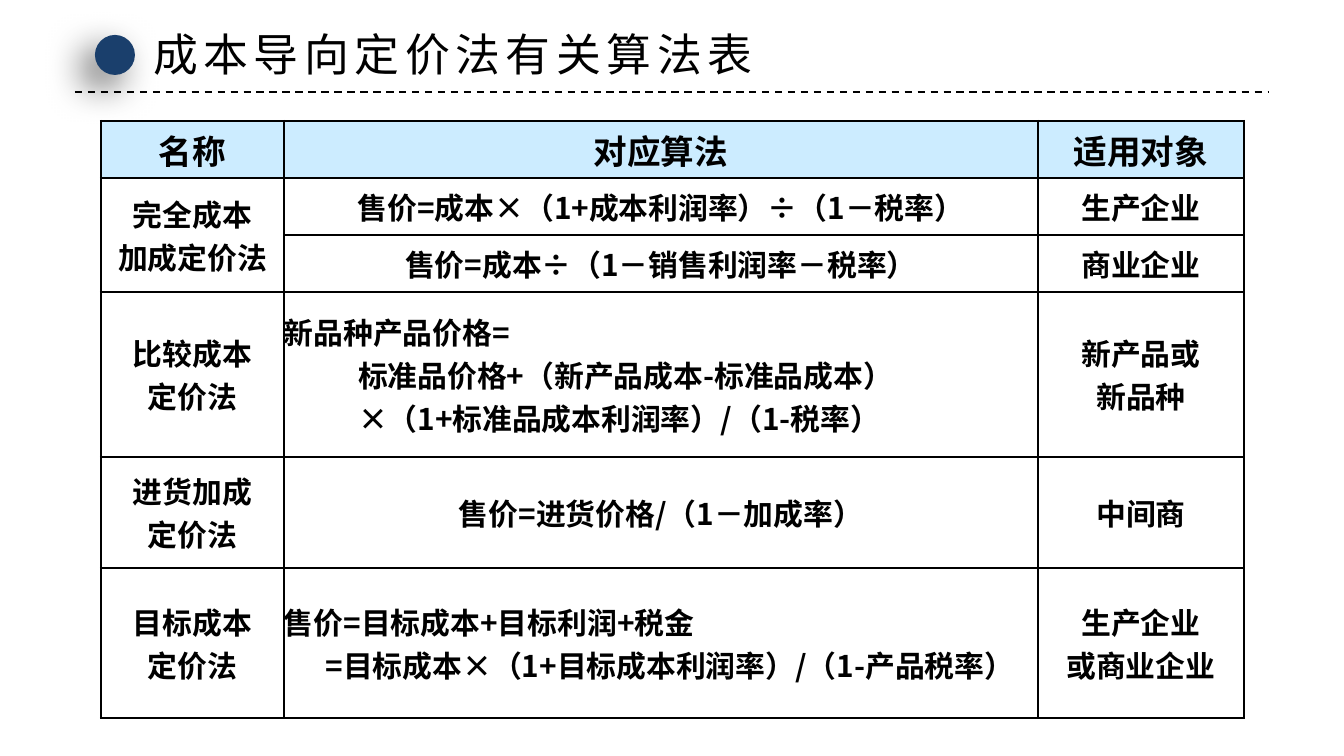
from lxml.etree import SubElement
from pptx import Presentation
from pptx.dml.color import RGBColor
from pptx.enum.dml import MSO_LINE
from pptx.enum.shapes import MSO_CONNECTOR, MSO_SHAPE
from pptx.enum.text import MSO_ANCHOR, PP_ALIGN
from pptx.oxml.ns import qn
from pptx.util import Pt

PX = 914400 / 134.4
COLORS = {"black": "000000", "navy": "1A3F6C", "header": "CCECFF"}
FONT = "Noto Sans CJK SC"
HANG = 51


def px(value):
    return round(value * PX)


def style_span(span, size, bold):
    span.font.size = Pt(size)
    span.font.bold = bold
    span.font.color.rgb = RGBColor.from_string(COLORS["black"])
    span.font.name = FONT
    SubElement(span._r.get_or_add_rPr(), qn("a:ea"), typeface=FONT)


deck = Presentation()
deck.slide_width, deck.slide_height = px(1344), px(756)
slide = deck.slides.add_slide(deck.slide_layouts[6])

rule = slide.shapes.add_connector(MSO_CONNECTOR.STRAIGHT, px(75), px(92), px(1269), px(92))
rule.line.color.rgb = RGBColor.from_string(COLORS["black"])
rule.line.width = Pt(1)
rule.line.dash_style = MSO_LINE.DASH
SubElement(rule._element.spPr, qn("a:effectLst"))

dot = slide.shapes.add_shape(MSO_SHAPE.OVAL, px(95), px(35), px(40), px(40))
dot.fill.solid()
dot.fill.fore_color.rgb = RGBColor.from_string(COLORS["navy"])
dot.line.fill.background()
dot.shadow.inherit = False
effects = dot._element.spPr.find(qn("a:effectLst"))
shadow = SubElement(effects, qn("a:outerShdw"), blurRad=str(Pt(20)), dist=str(Pt(10)),
                    dir=str(135 * 60000), algn="ctr", rotWithShape="0")
shade = SubElement(shadow, qn("a:srgbClr"), val=COLORS["black"])
SubElement(shade, qn("a:alpha"), val="60000")

title = slide.shapes.add_textbox(px(140), px(20), px(636), px(67))
title.text_frame.word_wrap = False
title.text_frame.vertical_anchor = MSO_ANCHOR.MIDDLE
title.text_frame.text = "成本导向定价法有关算法表"
title_span = title.text_frame.paragraphs[0].runs[0]
style_span(title_span, 24, False)
title_span._r.get_or_add_rPr().set("spc", "300")

widths = [183, 754, 206]
heights = [57, 57, 57, 165, 111, 150]
rows = [
    ["名称", "对应算法", "适用对象"],
    ["完全成本\n加成定价法", "售价=成本×（1+成本利润率）÷（1－税率）", "生产企业"],
    ["", "售价=成本÷（1－销售利润率－税率）", "商业企业"],
    ["比较成本\n定价法",
     "新品种产品价格=\n标准品价格+（新产品成本-标准品成本）\n×（1+标准品成本利润率）/（1-税率）",
     "新产品或\n新品种"],
    ["进货加成\n定价法", "售价=进货价格/（1－加成率）", "中间商"],
    ["目标成本\n定价法",
     "售价=目标成本+目标利润+税金\n=目标成本×（1+目标成本利润率）/（1-产品税率）",
     "生产企业\n或商业企业"],
]
layouts = {
    (3, 1, 0): (PP_ALIGN.LEFT, HANG, -HANG),
    (3, 1, 1): (PP_ALIGN.LEFT, 74, 0),
    (3, 1, 2): (PP_ALIGN.LEFT, 74, 0),
    (5, 1, 0): (PP_ALIGN.LEFT, HANG, -HANG),
    (5, 1, 1): (PP_ALIGN.CENTER, HANG, -33),
}
last_row, last_column = len(rows) - 1, len(widths) - 1

frame = slide.shapes.add_table(len(rows), len(widths), px(101), px(121),
                               px(sum(widths)), px(sum(heights)))
table = frame.table
table.first_row = False
table.horz_banding = False
for column, width in zip(table.columns, widths):
    column.width = px(width)
for row, height in zip(table.rows, heights):
    row.height = px(height)
table.cell(1, 0).merge(table.cell(2, 0))

for r, texts in enumerate(rows):
    for c, text in enumerate(texts):
        cell = table.cell(r, c)
        cell.margin_left = cell.margin_right = cell.margin_top = cell.margin_bottom = 0
        cell.vertical_anchor = MSO_ANCHOR.MIDDLE
        outer = {"lnL": c == 0, "lnR": c == last_column, "lnT": r == 0, "lnB": r == last_row}
        for side, is_outer in outer.items():
            border = SubElement(cell._tc.get_or_add_tcPr(), qn(f"a:{side}"),
                                w=str(Pt(1.5 if is_outer else 1)))
            paint = SubElement(border, qn("a:solidFill"))
            SubElement(paint, qn("a:srgbClr"), val=COLORS["black"])
        if r == 0:
            cell.fill.solid()
            cell.fill.fore_color.rgb = RGBColor.from_string(COLORS["header"])
        else:
            cell.fill.background()
        if not text:
            continue
        cell.text_frame.text = text
        for p, para in enumerate(cell.text_frame.paragraphs):
            align, margin, indent = layouts.get((r, c, p), (PP_ALIGN.CENTER, HANG, -HANG))
            para.alignment = align
            properties = para._p.get_or_add_pPr()
            properties.set("marL", str(px(margin)))
            properties.set("indent", str(px(indent)))
            for span in para.runs:
                style_span(span, 18 if r == 0 else 16, True)

deck.save("out.pptx")
